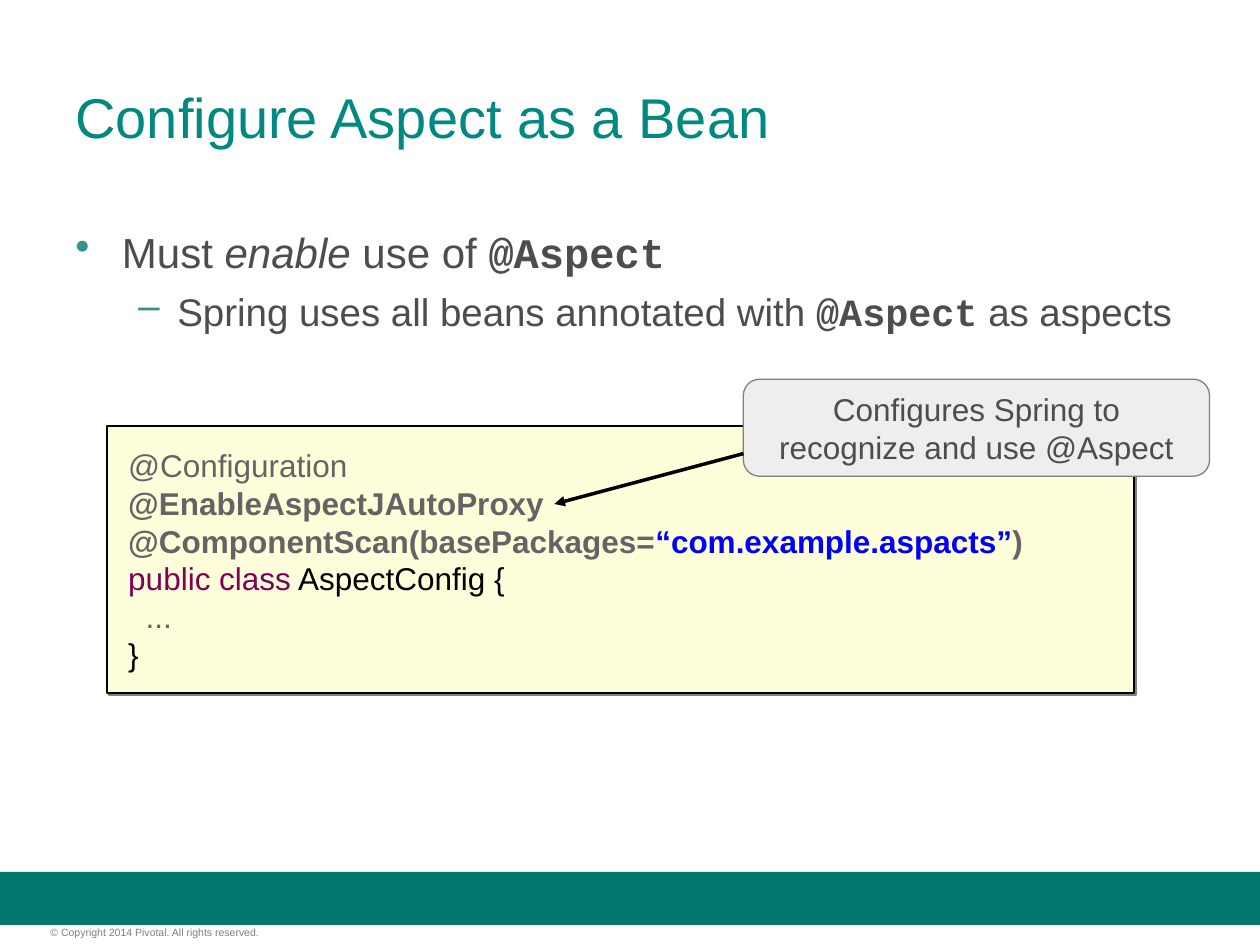
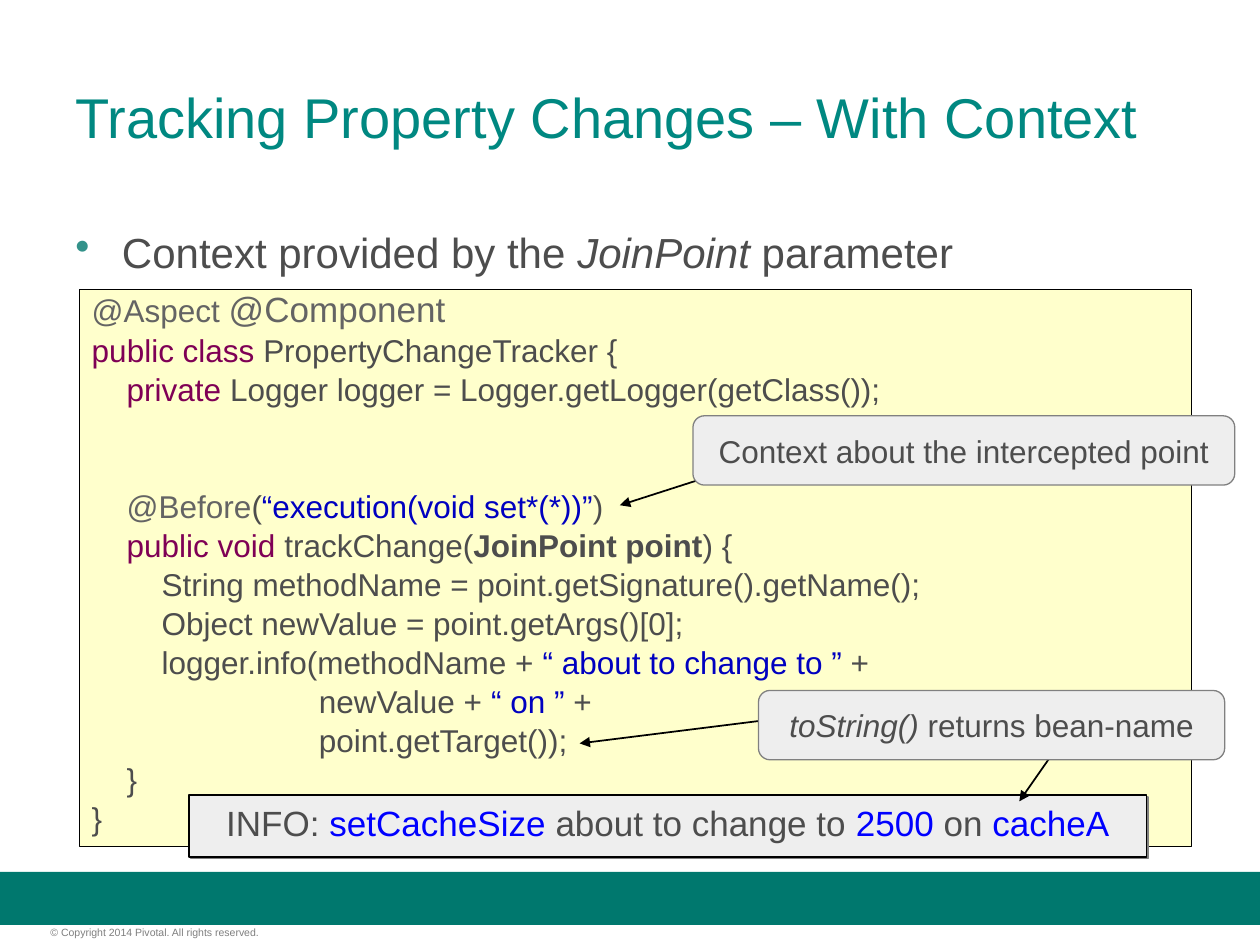
from dataclasses import dataclass
from typing import NamedTuple, Optional

from lxml import etree
from pptx import Presentation
from pptx.dml.color import RGBColor
from pptx.enum import shapes as kinds, text as txt
from pptx.oxml import ns
from pptx.util import Inches, Pt

TEAL = RGBColor(0x00, 0x88, 0x81)
BAND = RGBColor(0x00, 0x78, 0x6E)
MARK = RGBColor(0x33, 0x92, 0x8A)
INK = RGBColor(0x4D, 0x4D, 0x4D)
NOTE = RGBColor(0x64, 0x64, 0x64)
GRAY = RGBColor(0x7F, 0x7F, 0x7F)
EDGE = RGBColor(0x80, 0x80, 0x80)
PALE = RGBColor(0xEE, 0xEE, 0xEE)
CREAM = RGBColor(0xFE, 0xFF, 0xDA)
YELLOW = RGBColor(0xFF, 0xFF, 0xCC)
BLACK = RGBColor(0x00, 0x00, 0x00)
PLUM = RGBColor(0x7F, 0x00, 0x55)
BLUE = RGBColor(0x00, 0x00, 0xFF)
NAVY = RGBColor(0x00, 0x00, 0xC0)

SANS = "Arial"
MONO = "Courier New"
RECT = kinds.MSO_SHAPE.RECTANGLE
ROUND = kinds.MSO_SHAPE.ROUNDED_RECTANGLE
MIDDLE = txt.MSO_ANCHOR.MIDDLE
TOP = txt.MSO_ANCHOR.TOP
LEFT = txt.PP_ALIGN.LEFT
CENTER = txt.PP_ALIGN.CENTER


class Box(NamedTuple):
    left: float
    top: float
    width: float
    height: float


class Arrow(NamedTuple):
    x1: float
    y1: float
    x2: float
    y2: float
    weight: float = 1


@dataclass
class Run:
    text: str
    color: Optional[RGBColor] = None
    bold: bool = False
    italic: bool = False
    font: str = SANS
    size: Optional[float] = None


@dataclass
class Par:
    runs: list[Run]
    size: float = 18
    before: float = 0
    bullet: str = ""
    margin: float = 0
    hang: float = 0


@dataclass
class Panel:
    box: Box
    fill: RGBColor
    line: RGBColor = BLACK
    weight: float = 1
    kind: kinds.MSO_SHAPE = RECT
    shadow: bool = False


def node(parent, tag: str, **attrs: str):
    return etree.SubElement(parent, ns.qn(tag), attrs)


def tint(parent, color: RGBColor) -> None:
    node(parent, "a:srgbClr", val=str(color))


def write(frame, pars: list[Par], *, color=INK, align=LEFT, anchor=TOP,
          inset=(0.1, 0.05), spacing=None, wrap=True) -> None:
    frame.word_wrap = wrap
    frame.vertical_anchor = anchor
    frame.margin_left = frame.margin_right = Inches(inset[0])
    frame.margin_top = frame.margin_bottom = Inches(inset[1])
    for num, par in enumerate(pars):
        para = frame.add_paragraph() if num else frame.paragraphs[0]
        if par.bullet:
            props = para._p.get_or_add_pPr()
            props.set("marL", str(Inches(par.margin)))
            props.set("indent", str(Inches(-par.hang)))
            tint(node(props, "a:buClr"), MARK)
            node(props, "a:buChar", char=par.bullet)
        para.alignment = align
        para.space_before = Pt(par.before if num else 0)
        if spacing:
            para.line_spacing = spacing
        for part in par.runs:
            run = para.add_run()
            run.text = part.text
            font = run.font
            font.name = part.font
            font.size = Pt(part.size or par.size)
            font.bold = part.bold
            font.italic = part.italic
            font.color.rgb = part.color or color


def label(slide, box: Box, pars: list[Par], **form) -> None:
    area = slide.shapes.add_textbox(*map(Inches, box))
    write(area.text_frame, pars, **form)


def panel(slide, item: Panel, pars: list[Par], **form) -> None:
    shape = slide.shapes.add_shape(item.kind, *map(Inches, item.box))
    shape.shadow.inherit = False
    shape.fill.solid()
    shape.fill.fore_color.rgb = item.fill
    shape.line.color.rgb = item.line
    shape.line.width = Pt(item.weight)
    if item.shadow:
        effects = shape.element.spPr.find(ns.qn("a:effectLst"))
        tint(node(effects, "a:outerShdw", blurRad="0", dist=str(Pt(1.4)),
                  dir="2700000", algn="ctr", rotWithShape="0"), EDGE)
    write(shape.text_frame, pars, **form)


def callout(slide, box: Box, runs: list[Run], wrap=False) -> None:
    panel(slide, Panel(box, PALE, EDGE, 0, ROUND), [Par(runs)],
          align=CENTER, anchor=MIDDLE, wrap=wrap)


def arrow(slide, item: Arrow) -> None:
    ends = map(Inches, item[:4])
    link = slide.shapes.add_connector(kinds.MSO_CONNECTOR.STRAIGHT, *ends)
    link.line.color.rgb = BLACK
    link.line.width = Pt(item.weight)
    props = link.element.spPr
    node(props.find(ns.qn("a:ln")), "a:tailEnd", type="triangle")
    node(props, "a:effectLst")


def start(deck, title: str, points: list[Par], height: float):
    slide = deck.slides.add_slide(deck.slide_layouts[6])
    band = slide.shapes.add_shape(RECT, *map(Inches, Box(0, 6.92, 10, 0.42)))
    band.shadow.inherit = False
    band.fill.solid()
    band.fill.fore_color.rgb = BAND
    band.line.fill.background()
    legal = Run("© Copyright 2014 Pivotal. All rights reserved.")
    label(slide, Box(0.4, 7.35, 2.49, 0.1), [Par([legal], 6)],
          color=GRAY, inset=(0, 0))
    label(slide, Box(0.5, 0.3, 9, 1.25), [Par([Run(title)], 32)],
          color=TEAL, anchor=MIDDLE)
    label(slide, Box(0.5, 1.75, 9, height), points)
    return slide


def point(*runs: Run) -> Par:
    return Par(list(runs), 24, 6, "•", 0.37, 0.37)


def detail(*runs: Run) -> Par:
    return Par(list(runs), 22, 6, "–", 0.81, 0.31)


def code(*runs: Run, before: float = 0) -> Par:
    return Par(list(runs), before=before)


def config(deck) -> None:
    mono = Run("@Aspect", bold=True, font=MONO)
    slide = start(deck, "Configure Aspect as a Bean", [
        point(Run("Must "), Run("enable", italic=True), Run(" use of "), mono),
        detail(Run("Spring uses all beans annotated with "), mono,
               Run(" as aspects")),
    ], 4.45)
    lines = [
        code(Run(" @Configuration")),
        code(Run(" @EnableAspectJAutoProxy", bold=True)),
        code(Run(" @ComponentScan(basePackages=", bold=True),
             Run("“com.example.aspacts”", BLUE, True), Run(")", bold=True)),
        code(Run(" public class", PLUM), Run(" AspectConfig {", BLACK)),
        code(Run("   ...")),
        code(Run(" }", BLACK)),
    ]
    panel(slide, Panel(Box(0.85, 3.38, 8.15, 2.12), CREAM, shadow=True),
          lines, color=NOTE, anchor=MIDDLE)
    callout(slide, Box(5.9, 3.01, 3.7, 0.77),
            [Run("Configures Spring to recognize and use @Aspect")], wrap=True)
    arrow(slide, Arrow(5.9, 3.6, 4.4, 4, 0))


def track(deck) -> None:
    slide = start(deck, "Tracking Property Changes – With Context", [
        point(Run("Context provided by the "), Run("JoinPoint", italic=True),
              Run(" parameter")),
    ], 0.5)
    gap = 5
    skip = 49.6
    deep = " " * 8
    far = " " * 26
    lines = [
        code(Run("@Aspect ", NOTE), Run("@Component", NOTE, size=20)),
        code(Run("public class", PLUM), Run(" PropertyChangeTracker {"),
             before=gap),
        code(Run("    private", PLUM),
             Run(" Logger logger = Logger.getLogger(getClass());"), before=gap),
        code(Run("    @Before", NOTE), Run("("),
             Run("“execution(void set*(*))”", NAVY), Run(")"), before=skip),
        code(Run("    public void ", PLUM), Run("trackChange("),
             Run("JoinPoint point", bold=True), Run(") {"), before=gap),
        code(Run(deep + "String methodName = point.getSignature().getName();"),
             before=gap),
        code(Run(deep + "Object newValue = point.getArgs()[0];"), before=gap),
        code(Run(deep + "logger.info(methodName +"),
             Run(" “ about to change to ” ", NAVY), Run("+"), before=gap),
        code(Run(far + "newValue + "), Run("“ on ”", NAVY), Run(" +"),
             before=gap),
        code(Run(far + "point.getTarget());"), before=gap),
        code(Run("    }"), before=gap),
        code(Run("}"), before=gap),
    ]
    panel(slide, Panel(Box(0.63, 2.3, 8.83, 4.42), YELLOW, weight=0.5),
          lines, spacing=0.8)
    output = [Run("INFO: "), Run("setCacheSize", BLUE),
              Run(" about to change to "), Run("2500", BLUE), Run(" on "),
              Run("cacheA", BLUE)]
    panel(slide, Panel(Box(1.5, 6.31, 7.6, 0.49), PALE, shadow=True),
          [Par(output, 20)], align=CENTER, anchor=MIDDLE, spacing=0.8)
    for item in (Arrow(6.04, 3.65, 4.92, 4.01), Arrow(6.2, 5.7, 4.6, 5.9),
                 Arrow(8.55, 5.7, 8.09, 6.36)):
        arrow(slide, item)
    callout(slide, Box(5.5, 3.3, 4.3, 0.55),
            [Run("Context about the intercepted point")])
    callout(slide, Box(6.02, 5.48, 3.7, 0.55),
            [Run("toString()", italic=True), Run(" returns bean-name")])


def main() -> None:
    deck = Presentation()
    deck.slide_width = Inches(10)
    deck.slide_height = Inches(7.5)
    config(deck)
    track(deck)
    deck.save("out.pptx")


if __name__ == "__main__":
    main()
